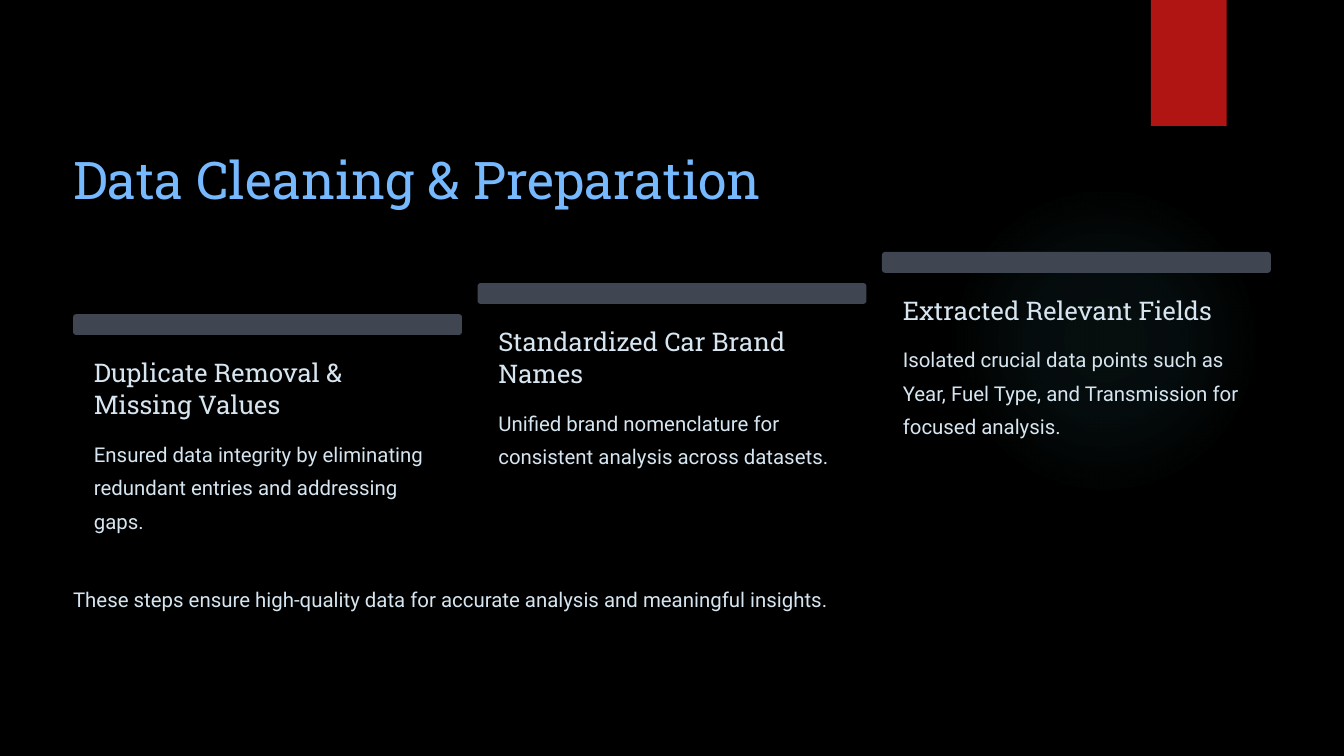
from dataclasses import dataclass

from pptx import Presentation
from pptx.dml.color import RGBColor
from pptx.enum.shapes import MSO_SHAPE
from pptx.enum.text import MSO_ANCHOR, PP_ALIGN
from pptx.oxml import parse_xml
from pptx.oxml.ns import nsdecls, qn
from pptx.util import Cm, Pt


@dataclass(frozen=True)
class Theme:
    background: str = "000000"
    glow: str = "50B9C1"
    ribbon: str = "B01513"
    bar: str = "3F4652"
    title_color: str = "76B9FF"
    text_color: str = "D6E5EF"
    heading_font: str = "Roboto Slab"
    body_font: str = "Roboto"
    # Each style: font, size, line spacing, colour
    title: tuple = (heading_font, 44.5, 55.5, title_color)
    heading: tuple = (heading_font, 22, 27.5, text_color)
    body: tuple = (body_font, 17.5, 28.5, text_color)


THEME = Theme()

# Heading, its line count, body, its line count
STEPS = [
    ("Duplicate Removal & Missing Values", 2,
     "Ensured data integrity by eliminating redundant entries and addressing gaps.", 3),
    ("Standardized Car Brand Names", 2,
     "Unified brand nomenclature for consistent analysis across datasets.", 2),
    ("Extracted Relevant Fields", 1,
     "Isolated crucial data points such as Year, Fuel Type, and Transmission "
     "for focused analysis.", 3),
]

# Lengths in centimetres
MARGIN = 2.21
STEP_TOP, STEP_RISE = 9.5, 0.94
STEP_PITCH = 12.23
BAR_WIDTH, BAR_HEIGHT = 11.76, 0.63
INSET = 0.63
HEADING_DROP, HEADING_LINE = 1.26, 0.99
BODY_GAP, BODY_LINE = 0.37, 1.01


def set_attributes(target, values):
    for name, value in values.items():
        setattr(target, name, value)


def add_block(page, kind, left, top, width, height, color=None):
    block = page.shapes.add_shape(kind, Cm(left), Cm(top), Cm(width), Cm(height))
    block.shadow.inherit = False
    block.line.fill.background()
    if color:
        block.fill.solid()
        block.fill.fore_color.rgb = RGBColor.from_string(color)
    return block


def add_glow(page, left, top, size):
    glow = add_block(page, MSO_SHAPE.OVAL, left, top, size, size)
    stops = "".join(
        f'<a:gs pos="{position * 1000}"><a:srgbClr val="{THEME.glow}">'
        f'<a:alpha val="{alpha * 1000}"/></a:srgbClr></a:gs>'
        for position, alpha in [(0, 7), (36, 6), (69, 0)])
    gradient = parse_xml(
        f'<a:gradFill {nsdecls("a")}><a:gsLst>{stops}</a:gsLst><a:path path="circle">'
        '<a:fillToRect l="50000" t="50000" r="50000" b="50000"/></a:path></a:gradFill>')
    glow._element.spPr.find(qn("a:prstGeom")).addnext(gradient)


def add_text(page, text, style, left, top, width, height, wrap=True):
    font, size, spacing, color = style
    box = page.shapes.add_textbox(Cm(left), Cm(top), Cm(width), Cm(height))
    frame = box.text_frame
    set_attributes(frame, {
        "margin_left": 0, "margin_top": 0, "margin_right": 0, "margin_bottom": 0,
        "word_wrap": wrap, "vertical_anchor": MSO_ANCHOR.TOP})
    para = frame.paragraphs[0]
    set_attributes(para, {"alignment": PP_ALIGN.LEFT, "line_spacing": Pt(spacing)})
    span = para.add_run()
    span.text = text
    set_attributes(span.font, {"name": font, "size": Pt(size)})
    span.font.color.rgb = RGBColor.from_string(color)


def add_step(page, index, heading, heading_lines, body, body_lines):
    left = MARGIN + index * STEP_PITCH
    top = STEP_TOP - index * STEP_RISE
    bar = add_block(page, MSO_SHAPE.ROUNDED_RECTANGLE,
                    left, top, BAR_WIDTH, BAR_HEIGHT, THEME.bar)
    bar.adjustments[0] = 0.15

    text_left, text_width = left + INSET, BAR_WIDTH - 2 * INSET
    heading_top = top + HEADING_DROP
    heading_height = heading_lines * HEADING_LINE
    add_text(page, heading, THEME.heading,
             text_left, heading_top, text_width, heading_height, heading_lines > 1)
    add_text(page, body, THEME.body, text_left, heading_top + heading_height + BODY_GAP,
             text_width, body_lines * BODY_LINE)


def main():
    deck = Presentation()
    set_attributes(deck, {"slide_width": Cm(40.64), "slide_height": Cm(22.86)})
    page = deck.slides.add_slide(deck.slide_layouts[6])

    # Backdrop
    page.background.fill.solid()
    page.background.fill.fore_color.rgb = RGBColor.from_string(THEME.background)
    add_glow(page, 28.7, 5.59, 9.4)
    add_block(page, MSO_SHAPE.RECTANGLE, 34.8, 0, 2.29, 3.81, THEME.ribbon)

    # Title
    add_text(page, "Data Cleaning & Preparation", THEME.title,
             MARGIN, 4.39, 20.88, 1.98, wrap=False)

    # Rising steps
    for index, step in enumerate(STEPS):
        add_step(page, index, *step)

    # Closing line
    add_text(page, "These steps ensure high-quality data for accurate analysis "
             "and meaningful insights.", THEME.body,
             MARGIN, 17.48, 36.22, BODY_LINE, wrap=False)

    deck.save("out.pptx")


if __name__ == "__main__":
    main()
